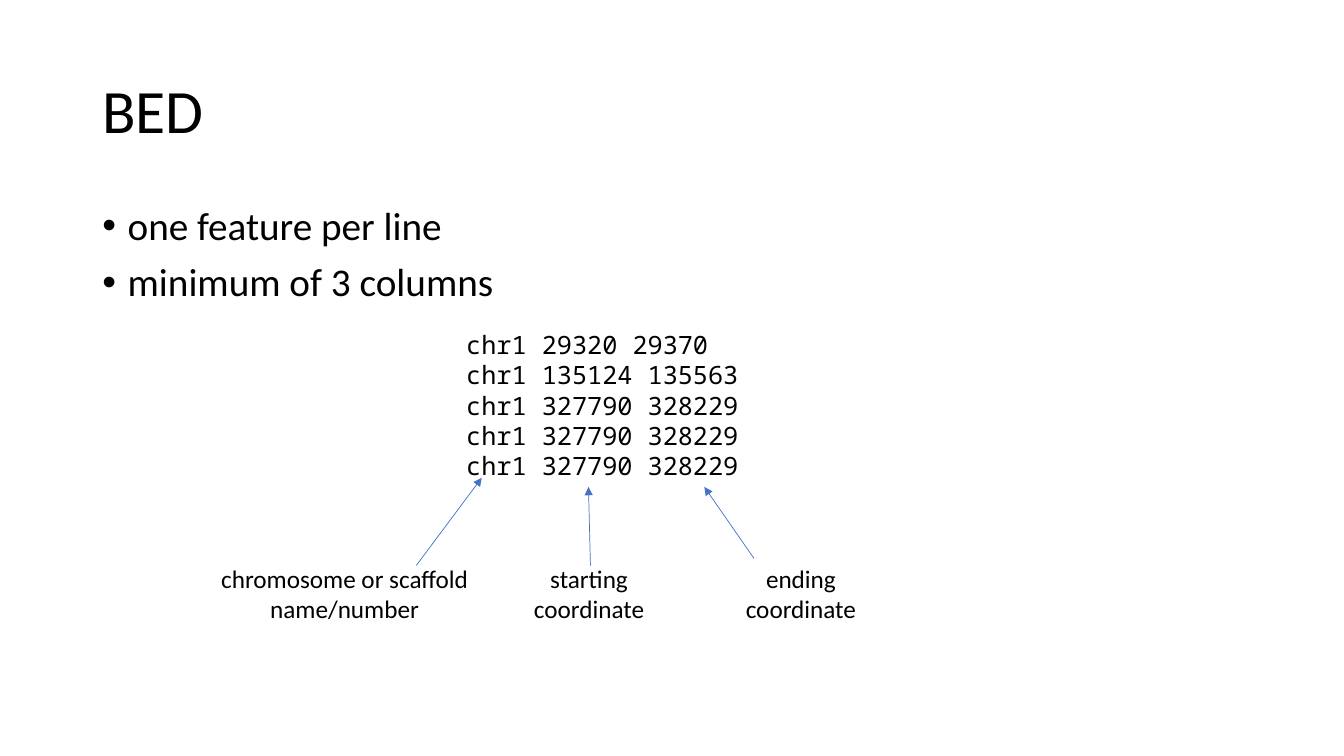
from dataclasses import dataclass

import lxml.etree
import pptx
import pptx.dml.color
import pptx.enum.shapes
import pptx.enum.text
import pptx.oxml.ns
import pptx.slide
import pptx.text.text
import pptx.util
from pptx.util import Cm

BLACK = pptx.dml.color.RGBColor(0x00, 0x00, 0x00)
ARROW_BLUE = pptx.dml.color.RGBColor(0x44, 0x72, 0xC4)
ALIGN = pptx.enum.text.PP_ALIGN
ANCHOR = pptx.enum.text.MSO_ANCHOR
BULLET_INDENT = Cm(0.64)


@dataclass(frozen=True)
class TextBlock:
    lines: tuple[str, ...]
    left: float
    top: float
    width: float
    height: float
    size: float = 18
    font_name: str = "Calibri"
    align: ALIGN = ALIGN.LEFT
    anchor: ANCHOR = ANCHOR.TOP
    wrap: bool = False
    line_spacing: float = 1.0
    space_before: float = 0
    bulleted: bool = False


@dataclass(frozen=True)
class ColumnLabel:
    """A caption and the arrow from it to its column; lengths in cm."""
    lines: tuple[str, str]
    left: float
    width: float
    arrow_start: tuple[float, float]
    arrow_tip: tuple[float, float]


TEXT_BLOCKS = (
    TextBlock(("BED",), 2.33, 1.02, 29.21, 3.68, size=44,
              anchor=ANCHOR.MIDDLE, wrap=True, line_spacing=0.9),
    TextBlock(("one feature per line", "minimum of 3 columns"),
              2.33, 5.08, 29.21, 3.4, size=28, wrap=True,
              line_spacing=0.9, space_before=10, bulleted=True),
    TextBlock(("chr1 29320 29370", "chr1 135124 135563")
              + ("chr1 327790 328229",) * 3,
              11.5, 8.18, 7.8, 4.11, font_name="Noto Sans Mono"),
)

LABEL_TOP, LABEL_HEIGHT = 14.07, 1.8
COLUMN_LABELS = (
    ColumnLabel(("chromosome or scaffold", "name/number"), 5.28, 6.81,
                (10.49, 14.25), (12.14, 12.04)),
    ColumnLabel(("starting", "coordinate"), 13.18, 3.33,
                (14.88, 14.25), (14.83, 12.27)),
    ColumnLabel(("ending", "coordinate"), 18.52, 3.33,
                (19.0, 14.07), (17.75, 12.27)),
)


def add_bullet(paragraph: pptx.text.text._Paragraph) -> None:
    properties = paragraph._p.get_or_add_pPr()
    properties.set("marL", str(BULLET_INDENT))
    properties.set("indent", str(-BULLET_INDENT))
    qn = pptx.oxml.ns.qn
    lxml.etree.SubElement(properties, qn("a:buFont"), typeface="Arial")
    lxml.etree.SubElement(properties, qn("a:buChar"), char="•")


def add_text(slide: pptx.slide.Slide, block: TextBlock) -> None:
    shape = slide.shapes.add_textbox(
        Cm(block.left), Cm(block.top), Cm(block.width), Cm(block.height))
    frame = shape.text_frame
    frame.word_wrap = block.wrap
    frame.vertical_anchor = block.anchor
    frame.text = "\n".join(block.lines)
    for paragraph in frame.paragraphs:
        paragraph.alignment = block.align
        paragraph.line_spacing = block.line_spacing
        paragraph.space_before = pptx.util.Pt(block.space_before)
        if block.bulleted:
            add_bullet(paragraph)
        paragraph.font.name = block.font_name
        paragraph.font.size = pptx.util.Pt(block.size)
        paragraph.font.color.rgb = BLACK


def add_arrow(slide: pptx.slide.Slide, start: tuple[float, float],
              tip: tuple[float, float]) -> None:
    connector = slide.shapes.add_connector(
        pptx.enum.shapes.MSO_CONNECTOR.STRAIGHT,
        *(Cm(value) for value in start + tip))
    connector.line.color.rgb = ARROW_BLUE
    connector.line.width = pptx.util.Pt(0.5)
    qn = pptx.oxml.ns.qn
    lxml.etree.SubElement(
        connector.line._get_or_add_ln(), qn("a:tailEnd"), type="triangle")
    lxml.etree.SubElement(connector._element.spPr, qn("a:effectLst"))


def main() -> None:
    presentation = pptx.Presentation()
    presentation.slide_width = Cm(33.87)
    presentation.slide_height = Cm(19.05)
    slide = presentation.slides.add_slide(presentation.slide_layouts[6])
    for block in TEXT_BLOCKS:
        add_text(slide, block)
    for label in COLUMN_LABELS:
        add_arrow(slide, label.arrow_start, label.arrow_tip)
        add_text(slide, TextBlock(label.lines, label.left, LABEL_TOP,
                                  label.width, LABEL_HEIGHT,
                                  align=ALIGN.CENTER))
    presentation.save("out.pptx")


if __name__ == "__main__":
    main()
